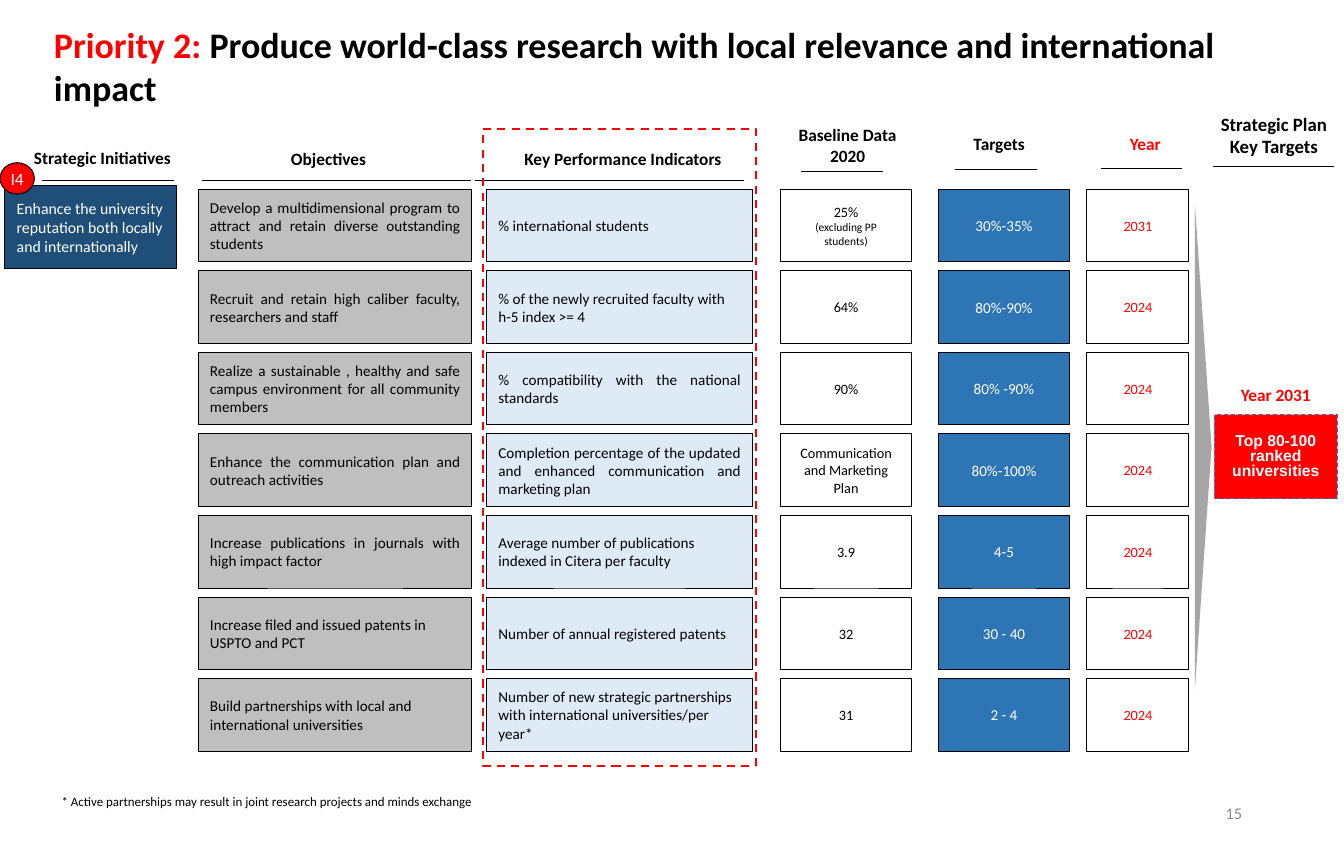
from collections import namedtuple

from lxml import etree
from pptx import Presentation
from pptx import util as u
from pptx.dml.color import RGBColor
from pptx.enum import dml, shapes, text
from pptx.oxml.ns import qn

COLUMNS, ROWS = 137, 87
CELL = u.Inches(0.1)
ROW_PITCH, ROW_HEIGHT = 8.32, 7.4
LEFT, CENTER = text.PP_ALIGN.LEFT, text.PP_ALIGN.CENTER
JUSTIFY, RIGHT = text.PP_ALIGN.JUSTIFY, text.PP_ALIGN.RIGHT
RECTANGLE = shapes.MSO_SHAPE.RECTANGLE

Box = namedtuple("Box", "x y w h")
Column = namedtuple("Column", "x w fill color size align ragged entries")

TABLE = [
    Column(20.2, 27.9, "BFBFBF", "000000", 11.1, JUSTIFY, (5, 6), [
        "Develop a multidimensional program to attract and retain diverse outstanding students",
        "Recruit and retain high caliber faculty, researchers and staff",
        "Realize a sustainable , healthy and safe campus environment for all community members",
        "Enhance the communication plan and outreach activities",
        "Increase publications in journals with high impact factor",
        "Increase filed and issued patents in USPTO and PCT",
        "Build partnerships with local and international universities"]),
    Column(49.6, 27.1, "DEEBF7", "000000", 11.1, JUSTIFY, (1, 4, 6), [
        "% international students",
        "% of the newly recruited faculty with h-5 index >= 4",
        "% compatibility with the national standards",
        "Completion percentage of the updated and enhanced communication and marketing plan",
        "Average number of publications indexed in Citera per faculty",
        "Number of annual registered patents",
        "Number of new strategic partnerships with international universities/per year*"]),
    Column(79.6, 13.3, "FFFFFF", "000000", 10.5, CENTER, (), [
        "25%\n(excluding PP students)", "64%", "90%",
        "Communication and Marketing Plan", "3.9", "32", "31"]),
    Column(95.7, 13.3, "2E75B6", "FFFFFF", 11.1, CENTER, (), [
        "30%-35%", "80%-90%", "80% -90%", "80%-100%", "4-5", "30 - 40", "2 - 4"]),
    Column(110.8, 10.4, "FFFFFF", "FF0000", 10.5, CENTER, (), ["2031"] + ["2024"] * 6),
]

HEADERS = [
    ("Strategic Initiatives", Box(0, 14.4, 20.9, 3.5), "000000", 12.7, (4.3, 17.7, 18.4)),
    ("Objectives", Box(17.8, 14.5, 31.4, 3.5), "000000", 12.7, (20.6, 48, 18.4)),
    ("Key Performance Indicators", Box(50.4, 14.5, 26.2, 3.5), "000000", 12.7, (48.4, 75.8, 18.4)),
    ("Baseline Data\n2020", Box(79.9, 12.1, 13, 5.5), "000000", 12.7, (81.7, 90, 17.5)),
    ("Targets", Box(96.5, 13, 10.7, 3.5), "000000", 12.7, (97.4, 105.7, 17.3)),
    ("Year", Box(111.4, 13, 10.7, 3.5), "FF0000", 12.7, (112.2, 120.5, 17.2)),
    ("Strategic Plan Key Targets", Box(123, 11, 13.7, 5.6), "000000", 13.8, (123.6, 136, 17)),
]


def rgb(value):
    """Turn a hex string into a colour."""
    return RGBColor.from_string(value)


def grid(*cells):
    """Turn grid units into slide lengths."""
    return [u.Emu(round(cell * CELL)) for cell in cells]


def write(shape, words, size, color, align=LEFT, bold=False, font="Calibri",
          anchor=text.MSO_ANCHOR.MIDDLE, inset=(1.2, 0.6)):
    """Fill a shape with evenly formatted paragraphs."""
    frame = shape.text_frame
    frame.word_wrap = True
    frame.vertical_anchor = anchor
    side, edge = grid(*inset)
    frame.margin_left = frame.margin_right = side
    frame.margin_top = frame.margin_bottom = edge
    frame.text = words
    for para in frame.paragraphs:
        para.alignment = align
        for span in para.runs:
            span.font.name, span.font.size, span.font.bold = font, u.Pt(size), bold
            span.font.color.rgb = rgb(color)
    return frame


def add_label(page, box, words, size, color, **style):
    """Add a plain text box that starts at its top edge."""
    style.setdefault("anchor", text.MSO_ANCHOR.TOP)
    return write(page.shapes.add_textbox(*grid(*box)), words, size, color, **style)


def add_block(page, box, fill=None, line="000000", width=0.75, dashed=False, kind=RECTANGLE):
    """Add a flat shape, with no fill or no line when none is named."""
    shape = page.shapes.add_shape(kind, *grid(*box))
    shape.shadow.inherit = False
    if fill:
        shape.fill.solid()
        shape.fill.fore_color.rgb = rgb(fill)
    else:
        shape.fill.background()
    if line:
        shape.line.color.rgb = rgb(line)
        shape.line.width = u.Pt(width)
        if dashed:
            shape.line.dash_style = dml.MSO_LINE.DASH
    else:
        shape.line.fill.background()
    return shape


def add_rule(page, start, end, y):
    """Add a thin horizontal line."""
    rule = page.shapes.add_connector(shapes.MSO_CONNECTOR.STRAIGHT, *grid(start, y, end, y))
    rule.line.color.rgb = rgb("000000")
    rule.line.width = u.Pt(0.75)
    etree.SubElement(rule._element.spPr, qn("a:effectLst"))


def add_title(page, box):
    """Add the two-coloured heading."""
    frame = add_label(page, box, "Priority 2: ", 26.4, "FF0000", bold=True)
    span = frame.paragraphs[0].add_run()
    span.text = "Produce world-class research with local relevance and international impact"
    span.font.name, span.font.size, span.font.bold = "Calibri", u.Pt(26.4), True
    span.font.color.rgb = rgb("000000")


def add_headers(page):
    """Add the column headings and their underlines."""
    for words, box, color, size, underline in HEADERS:
        inset = (1.2, 0.6) if size < 13 else (1, 0.5)
        add_label(page, box, words, size, color, align=CENTER, bold=True, inset=inset)
        add_rule(page, *underline)


def add_initiative(page, box):
    """Add the initiative card with its round badge on the corner."""
    write(add_block(page, box, "1F4E79"),
          "Enhance the university reputation both locally and internationally", 11.6, "FFFFFF")
    badge = add_block(page, Box(box.x - 0.5, box.y - 2.3, 3.5, 3.2), "FF0000",
                      kind=shapes.MSO_SHAPE.OVAL)
    write(badge, "I4", 12.7, "FFFFFF", align=CENTER, inset=(0, 0))


def add_column(page, column, top):
    """Stack one column of cells at an even pitch."""
    for row, words in enumerate(column.entries):
        box = Box(column.x, top + row * ROW_PITCH, column.w, ROW_HEIGHT)
        align = LEFT if row in column.ragged else column.align
        frame = write(add_block(page, box, column.fill), words, column.size, column.color, align)
        for para in frame.paragraphs[1:]:
            para.runs[0].font.size = u.Pt(8.4)


def add_goal(page, box):
    """Add the wedge, the year and the final goal, centred on the goal's box."""
    length, depth = 49.5, 1.7
    middle = box.y + box.h / 2 - 1.05
    wedge = add_block(page, Box(box.x - 1.15 - length / 2, middle - depth / 2, length, depth),
                      "A6A6A6", line=None, kind=shapes.MSO_SHAPE.ISOSCELES_TRIANGLE)
    wedge.rotation = 90
    add_label(page, Box(box.x + 0.9, box.y - 3.7, 10.7, 3.5), "Year 2031", 12.7, "FF0000",
              align=CENTER, bold=True)
    goal = add_block(page, box, "FF0000", "2E75B6", dashed=True)
    frame = write(goal, "Top 80-100\nranked universities", 11.5, "FFFFFF", CENTER, True,
                  "Arial", inset=(1.1, 0.6))
    for para in frame.paragraphs:
        para.line_spacing = 0.8


def add_footer(page):
    """Add the footnote and the page number."""
    add_label(page, Box(5.3, 80.5, 72.3, 2.6),
              "* Active partnerships may result in joint research projects and minds exchange",
              9.5, "000000", inset=(1, 0.5))
    add_label(page, Box(96.8, 80.6, 30.8, 4.6), "15", 12, "8C8C8C", align=RIGHT,
              anchor=text.MSO_ANCHOR.MIDDLE, inset=(1, 0.5))


def main():
    """Build the slide and save it."""
    deck = Presentation()
    deck.slide_width, deck.slide_height = grid(COLUMNS, ROWS)
    page = deck.slides.add_slide(deck.slide_layouts[6])
    add_title(page, Box(4.3, 1.7, 124.9, 9.4))
    add_initiative(page, Box(0.5, 18.9, 17.5, 8.5))
    add_headers(page)
    for column in TABLE:
        add_column(page, column, 19.3)
    add_block(page, Box(49.2, 13.2, 27.9, 64.9), line="FF0000", width=1.5, dashed=True)
    add_goal(page, Box(123.8, 42.3, 12.5, 8.6))
    add_footer(page)
    deck.save("out.pptx")


if __name__ == "__main__":
    main()
